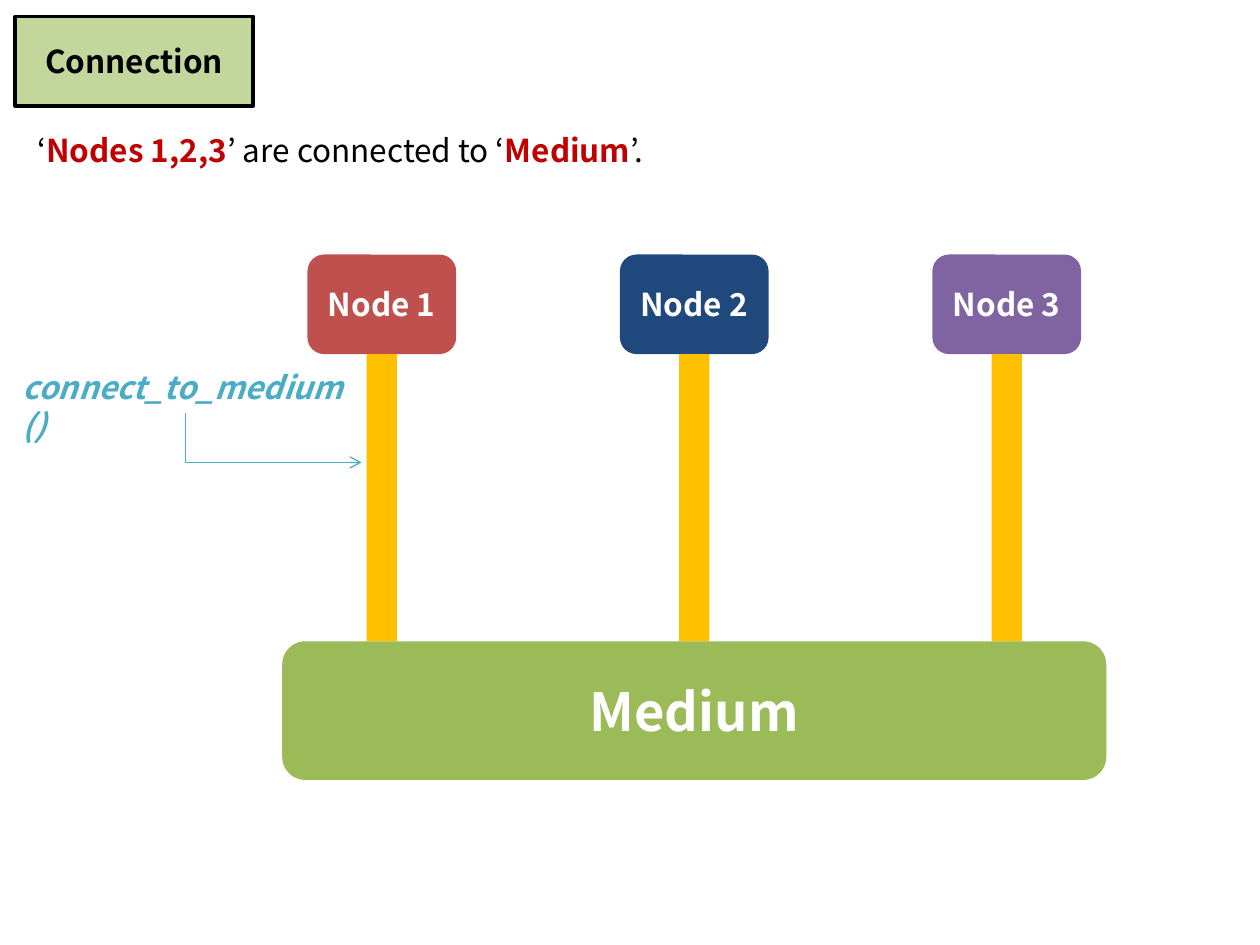
import pptx
import pptx.util
import pptx.dml.color
import pptx.enum.shapes
import pptx.enum.text
import pptx.oxml
import pptx.oxml.ns
from lxml import etree

In, Pt = pptx.util.Inches, pptx.util.Pt
SHAPE = pptx.enum.shapes.MSO_SHAPE
ALIGN = pptx.enum.text.PP_ALIGN
ANCHOR = pptx.enum.text.MSO_ANCHOR
qn = pptx.oxml.ns.qn


def rgb(hex_code):
    return pptx.dml.color.RGBColor.from_string(hex_code)


class Deck:
    font = "Noto Sans CJK KR"
    white, black, red, teal = "FFFFFF", "000000", "C00000", "4BACC6"

    def __init__(self, width, height):
        self.prs = pptx.Presentation()
        self.prs.slide_width, self.prs.slide_height = In(width), In(height)
        self.s = self.prs.slides.add_slide(self.prs.slide_layouts[5])

    def add_text(self, tf, runs, size=18, align=ALIGN.CENTER, anchor=ANCHOR.MIDDLE):
        """Runs are (text, colour, bold, italic)."""
        tf.vertical_anchor = anchor
        p = tf.paragraphs[0]
        p.alignment = align
        for text, color, bold, italic in runs:
            r = p.add_run()
            r.text = text
            r.font.name, r.font.size = self.font, Pt(size)
            r.font.bold, r.font.italic = bold, italic
            r.font.color.rgb = rgb(color)

    def title(self, x, y, w, h, text, fill):
        sp = self.s.shapes.title
        sp.left, sp.top, sp.width, sp.height = In(x), In(y), In(w), In(h)
        geom = etree.SubElement(sp._element.spPr, qn("a:prstGeom"), prst="roundRect")
        etree.SubElement(geom, qn("a:avLst"))
        sp.fill.solid()
        sp.fill.fore_color.rgb = rgb(fill)
        sp.line.color.rgb = rgb(self.black)
        sp.line.width = Pt(2)
        self.add_text(sp.text_frame, [(text, self.black, True, False)])

    def box(self, x, y, w, h, fill, text="", size=18, kind=SHAPE.ROUNDED_RECTANGLE):
        sp = self.s.shapes.add_shape(kind, In(x), In(y), In(w), In(h))
        sp.shadow.inherit = False
        sp.fill.solid()
        sp.fill.fore_color.rgb = rgb(fill)
        sp.line.fill.background()
        if text:
            self.add_text(sp.text_frame, [(text, self.white, True, False)], size)

    def label(self, x, y, w, h, runs, wrap=False):
        tf = self.s.shapes.add_textbox(In(x), In(y), In(w), In(h)).text_frame
        tf.word_wrap = wrap
        self.add_text(tf, runs, align=ALIGN.LEFT, anchor=ANCHOR.TOP)

    def down_right_arrow(self, x1, y1, x2, y2, color):
        # A one-bend connector is stored turned by 270 degrees and flipped
        w, h = y2 - y1, x2 - x1
        x, y = (x1 + x2 - w) / 2, (y1 + y2 - h) / 2
        cn = self.s.shapes.add_connector(
            pptx.enum.shapes.MSO_CONNECTOR.ELBOW, In(x), In(y), In(x + w), In(y + h))
        cn.line.color.rgb = rgb(color)
        cn.line.width = Pt(0.75)
        pr = cn._element.spPr
        pr.find(qn("a:prstGeom")).set("prst", "bentConnector2")
        xfrm = pr.find(qn("a:xfrm"))
        xfrm.set("rot", str(270 * 60000))
        xfrm.set("flipH", "1")
        etree.SubElement(pr.find(qn("a:ln")), qn("a:tailEnd"), type="arrow")
        etree.SubElement(pr, qn("a:effectLst"))


deck = Deck(10, 7.5)

# Heading and statement
deck.title(0.12, 0.13, 1.89, 0.71, "Connection", "C3D69B")
deck.label(0.2, 0.99, 5.04, 0.4, [
    ("‘", deck.black, False, False),
    ("Nodes 1,2,3", deck.red, True, False),
    ("’ are connected to ‘", deck.black, False, False),
    ("Medium", deck.red, True, False),
    ("’.", deck.black, False, False),
])

# Nodes with their links, centred on equally spaced columns
first, pitch = 3.03, 2.48
node_w, node_h, link_w = 1.18, 0.79, 0.24
node_top, medium_top = 2.02, 5.09
link_top = node_top + node_h
for i, color in enumerate(["C0504D", "1F497D", "8064A2"]):
    cx = first + i * pitch
    deck.box(cx - node_w / 2, node_top, node_w, node_h, color, f"Node {i + 1}")
    deck.box(cx - link_w / 2, link_top, link_w, medium_top - link_top, "FFC000",
             kind=SHAPE.RECTANGLE)

# Medium, centred under the middle node
medium_w = 6.54
deck.box(first + pitch - medium_w / 2, medium_top, medium_w, 1.1, "9BBB59", "Medium", 30)

# Call that makes the link
deck.label(0.08, 2.87, 2.78, 0.4, [("connect_to_medium()", deck.teal, True, True)], wrap=True)
deck.down_right_arrow(1.47, 3.28, 2.87, 3.67, deck.teal)

deck.prs.save("out.pptx")
